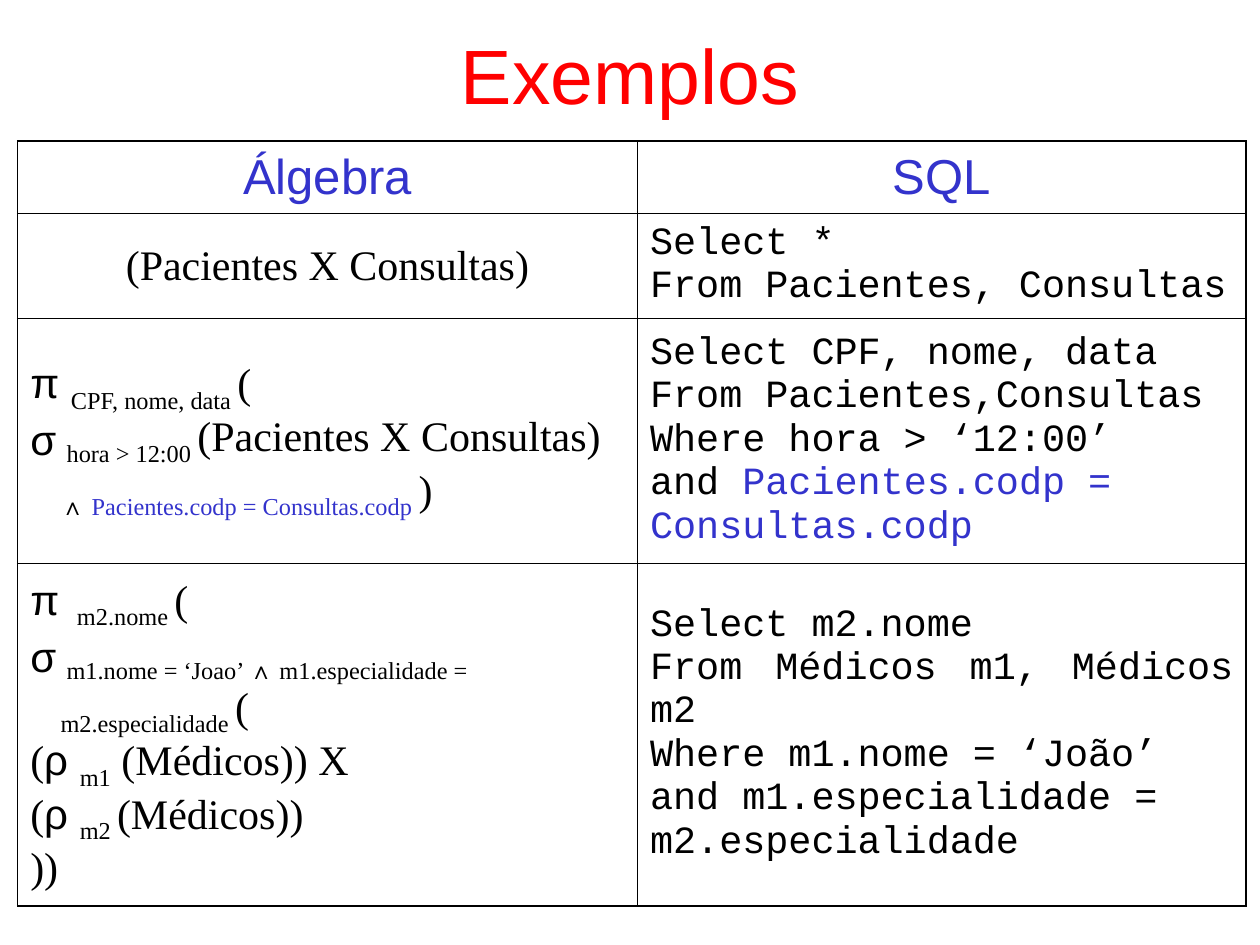
from dataclasses import dataclass

from lxml import etree
from pptx import Presentation
from pptx.dml.color import RGBColor
from pptx.enum.text import MSO_ANCHOR, PP_ALIGN
from pptx.oxml.ns import qn
from pptx.util import Inches, Pt

LEFT, CENTER, JUST = PP_ALIGN.LEFT, PP_ALIGN.CENTER, PP_ALIGN.JUSTIFY
MIDDLE = MSO_ANCHOR.MIDDLE


@dataclass(frozen=True)
class Theme:
    """Colours, fonts and sizes of the slide."""
    red: str = "FF0000"
    blue: str = "3333CC"
    black: str = "000000"
    sans: str = "Arial"
    serif: str = "Times New Roman"
    mono: str = "Courier New"
    title: int = 44
    head: int = 28
    math: int = 24
    code: int = 22
    thick: float = 1.08
    thin: float = 0.45


T = Theme()
COLS = (4.92, 4.83)
ROWS = (0.57, 0.84, 1.94, 2.72)


def write(para, text, font=T.serif, size=T.math, color=T.black, sub=False):
    """Add one formatted run to a paragraph."""
    run = para.add_run()
    run.text = text
    run.font.name, run.font.size = font, Pt(size)
    run.font.bold = False
    run.font.color.rgb = RGBColor.from_string(color)
    if sub:
        run._r.get_or_add_rPr().set("baseline", "-25000")


def head(text):
    """Describe a column heading."""
    return CENTER, None, [(text, dict(font=T.sans, size=T.head, color=T.blue))]


def code(text, link="", align=LEFT):
    """Describe a line of SQL, with an optional blue ending."""
    style = dict(font=T.mono, size=T.code)
    runs = [(text, style)]
    if link:
        runs.append((link, dict(style, color=T.blue)))
    return align, None, runs


def math(*runs, bullet=None, align=LEFT):
    """Describe a line of algebra."""
    return align, bullet, runs


def plain(text):
    """Describe a run of body algebra."""
    return text, {}


def greek(text):
    """Describe an operator run."""
    return text, dict(font=T.sans)


def sub(text, **style):
    """Describe a subscript run."""
    return text, dict(style, sub=True)


CELLS = [
    [[head("Álgebra")], [head("SQL")]],
    [
        [math(plain("(Pacientes X Consultas)"), align=CENTER)],
        [code("Select *"), code("From Pacientes, Consultas")],
    ],
    [
        [
            math(greek("π "), sub("CPF, nome, data "), plain("(")),
            math(sub(" hora > 12:00 "), plain("(Pacientes X Consultas) "),
                 sub("∧ ", font=T.sans),
                 sub("Pacientes.codp = Consultas.codp ", color=T.blue),
                 plain(")"), bullet="σ"),
        ],
        [
            code("Select CPF, nome, data"),
            code("From Pacientes,Consultas"),
            code("Where hora > ‘12:00’"),
            code("and ", "Pacientes.codp = Consultas.codp"),
        ],
    ],
    [
        [
            math(greek("π "), sub(" m2.nome "), plain("(")),
            math(sub(" m1.nome = ‘Joao’ "), sub("∧", font=T.sans),
                 sub(" m1.especialidade = m2.especialidade "),
                 plain("("), bullet="σ"),
            math(plain("("), greek("ρ "), sub("m1"), plain(" (Médicos)) X")),
            math(plain("("), greek("ρ "), sub("m2 "), plain("(Médicos))")),
            math(plain("))")),
        ],
        [
            code("Select m2.nome", align=JUST),
            code("From Médicos m1, Médicos m2", align=JUST),
            code("Where m1.nome = ‘João’", align=JUST),
            code("and m1.especialidade = m2.especialidade"),
        ],
    ],
]


def mark(para, char):
    """Give a paragraph a hanging operator as its bullet."""
    props = para._p.get_or_add_pPr()
    props.set("marL", str(Inches(0.24)))
    props.set("indent", str(-Inches(0.24)))
    tint = etree.SubElement(props, qn("a:buClr"))
    etree.SubElement(tint, qn("a:srgbClr"), val=T.black)
    etree.SubElement(props, qn("a:buFont"), typeface=T.sans)
    etree.SubElement(props, qn("a:buChar"), char=char)


def edge(cell, side, width):
    """Draw one border of a cell."""
    line = etree.SubElement(cell._tc.get_or_add_tcPr(), qn("a:ln" + side),
                            w=str(Pt(width)))
    fill = etree.SubElement(line, qn("a:solidFill"))
    etree.SubElement(fill, qn("a:srgbClr"), val=T.black)


def fill_cell(cell, lines, outer):
    """Format a cell and write its lines."""
    cell.vertical_anchor = MIDDLE
    cell.margin_left = cell.margin_right = Inches(0.1)
    cell.margin_top = cell.margin_bottom = Inches(0.05)
    for side in "LRTB":
        edge(cell, side, T.thick if side in outer else T.thin)
    cell.fill.background()
    frame = cell.text_frame
    for i, (align, bullet, runs) in enumerate(lines):
        para = frame.add_paragraph() if i else frame.paragraphs[0]
        para.alignment = align
        if bullet:
            mark(para, bullet)
        for text, style in runs:
            write(para, text, **style)


def add_title(slide, text, box):
    """Place the slide title in the given box."""
    shape = slide.shapes.title
    shape.left, shape.top, shape.width, shape.height = map(Inches, box)
    frame = shape.text_frame
    frame.vertical_anchor = MIDDLE
    para = frame.paragraphs[0]
    para.alignment = CENTER
    write(para, text, font=T.sans, size=T.title, color=T.red)


def add_grid(slide, box):
    """Place the algebra and SQL table in the given box."""
    table = slide.shapes.add_table(len(ROWS), len(COLS),
                                   *map(Inches, box)).table
    table.first_row = table.horz_banding = False
    for col, width in zip(table.columns, COLS):
        col.width = Inches(width)
    for r, (row, height) in enumerate(zip(table.rows, ROWS)):
        row.height = Inches(height)
        for c, lines in enumerate(CELLS[r]):
            outer = "LR"[c]
            if r == 0:
                outer += "T"
            if r == len(ROWS) - 1:
                outer += "B"
            fill_cell(table.cell(r, c), lines, outer)


def main():
    """Build and save the slide."""
    deck = Presentation()
    deck.slide_width, deck.slide_height = Inches(10), Inches(7.5)
    slide = deck.slides.add_slide(deck.slide_layouts[5])
    add_title(slide, "Exemplos", (0, -0.04, 10, 1.25))
    add_grid(slide, (0.14, 1.12, sum(COLS), sum(ROWS)))
    deck.save("out.pptx")


if __name__ == "__main__":
    main()
